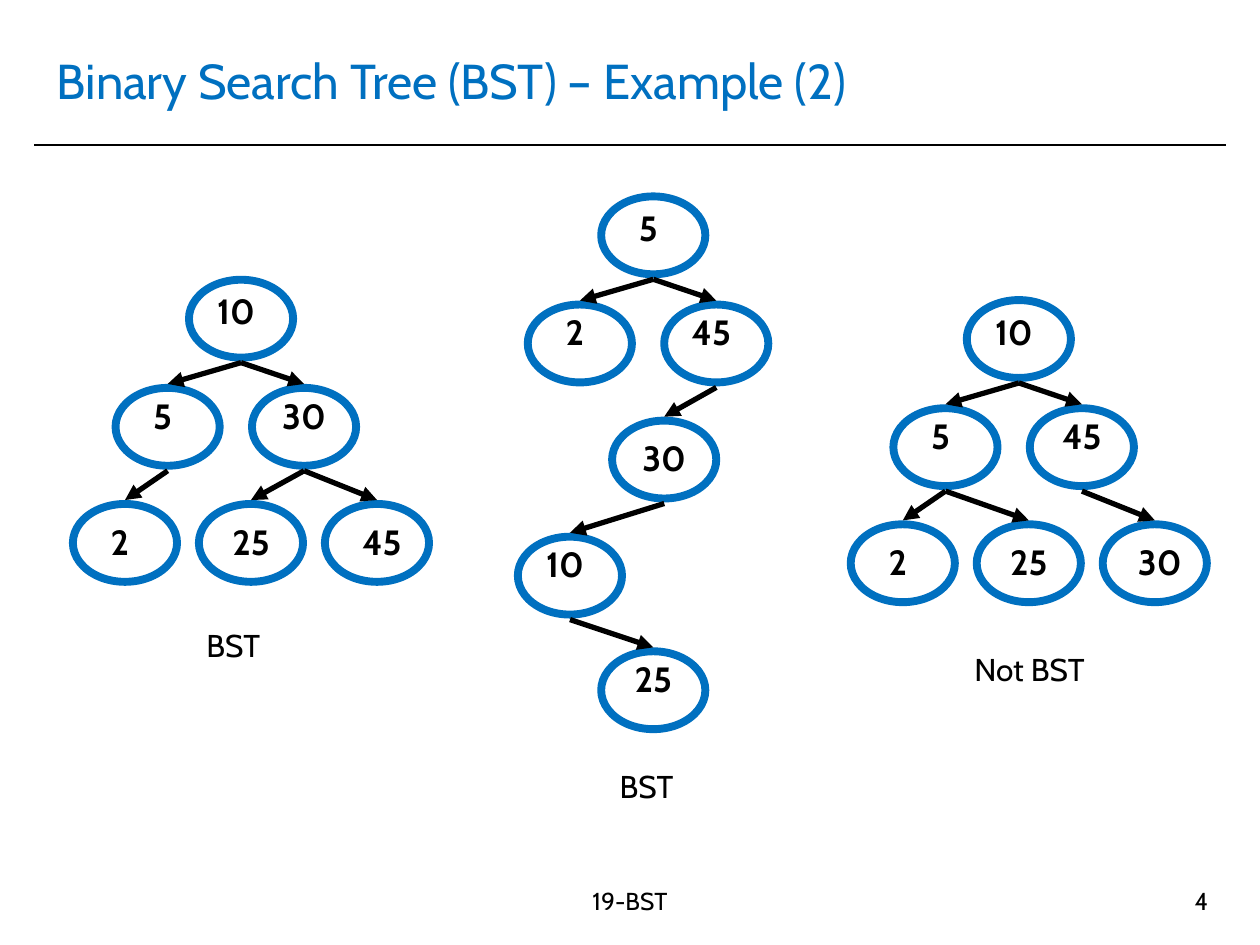
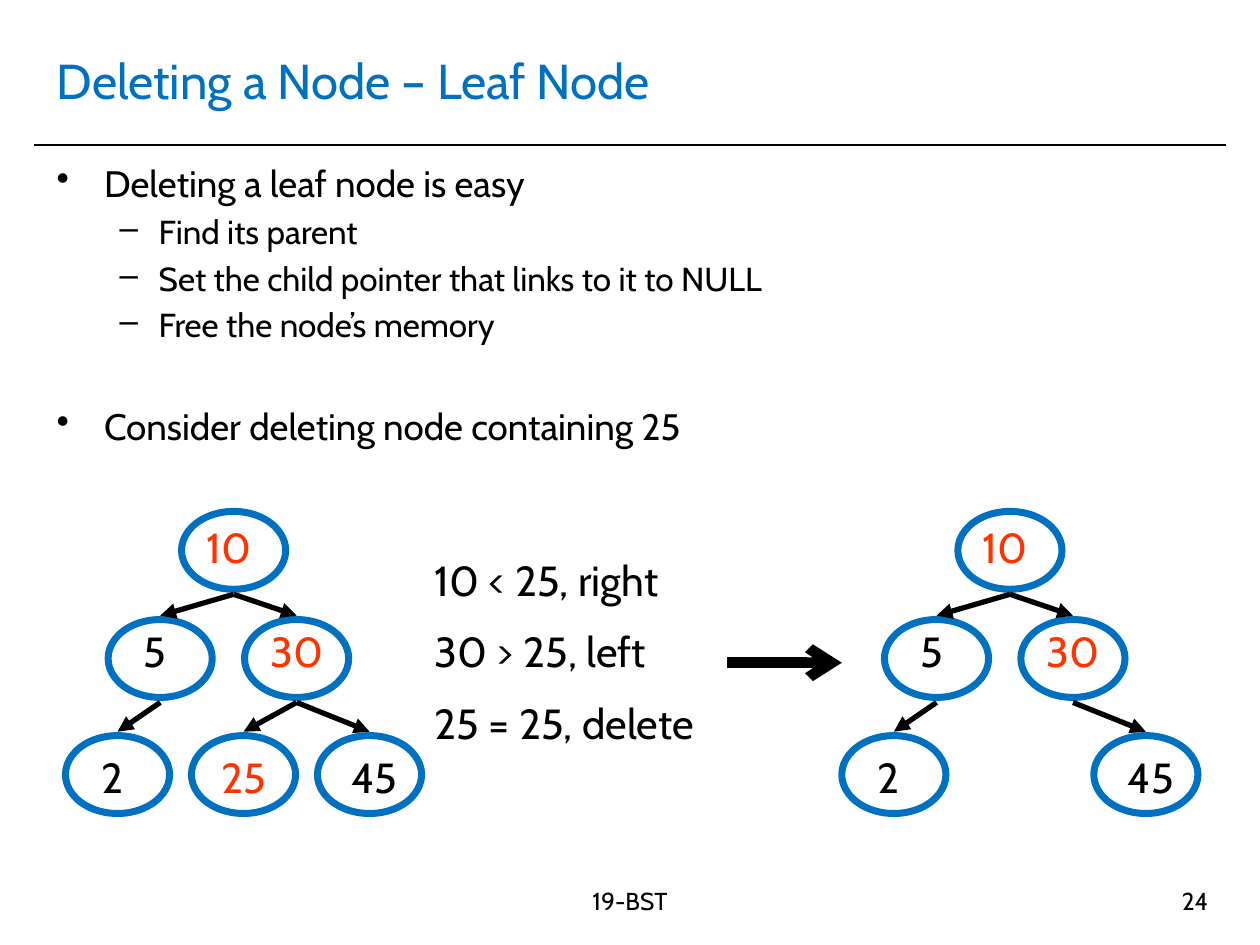
"""Build two slides on binary search trees."""
from lxml import etree
from pptx import Presentation
from pptx.dml.color import RGBColor
from pptx.enum.shapes import MSO_CONNECTOR, MSO_SHAPE
from pptx.enum.text import MSO_ANCHOR, PP_ALIGN
from pptx.oxml.ns import qn
from pptx.util import Cm, Pt

STRAIGHT, OVAL = MSO_CONNECTOR.STRAIGHT, MSO_SHAPE.OVAL
LEFT, CENTER, RIGHT = PP_ALIGN.LEFT, PP_ALIGN.CENTER, PP_ALIGN.RIGHT
MIDDLE = MSO_ANCHOR.MIDDLE
color = RGBColor.from_string
FONT, BLUE, BLACK, RED = "Cabin", "0070C0", "000000", "FF3300"
NODE_WIDTH, NODE_HEIGHT, LABEL_WIDTH = 2.1, 1.57, 1.7


def draw_line(shapes, start, end, width, head=None):
    line = shapes.add_connector(STRAIGHT, *[Cm(value) for value in (*start, *end)])
    line.line.color.rgb = color(BLACK)
    line.line.width = Pt(width)
    properties = line.element.spPr
    if head:
        etree.SubElement(properties.find(qn("a:ln")), qn("a:tailEnd"), type=head)
    etree.SubElement(properties, qn("a:effectLst"))


def write_text(shapes, lines, place, size, ink=BLACK, align=CENTER, bold=False):
    box = shapes.add_textbox(*[Cm(value) for value in place])
    frame = box.text_frame
    frame.word_wrap = True
    frame.text = "\n".join(lines)
    for para in frame.paragraphs:
        para.alignment = align
        para.font.name = FONT
        para.font.size = Pt(size)
        para.font.bold = bold
        para.font.color.rgb = color(ink)
    return frame.paragraphs


deck = Presentation()
deck.slide_width, deck.slide_height = Cm(25.4), Cm(19.05)

pages = []
for heading, number in (("Binary Search Tree (BST) – Example (2)", "4"),
                        ("Deleting a Node – Leaf Node", "24")):
    page = deck.slides.add_slide(deck.slide_layouts[5])
    pages.append(page)
    draw_line(page.shapes, (0.69, 2.92), (24.71, 2.92), 1)
    title = page.shapes.title
    title.left, title.top, title.width, title.height = Cm(0.89), Cm(0.53), Cm(23.6), Cm(2.16)
    title.text_frame.text = heading
    title.text_frame.vertical_anchor = MIDDLE
    para = title.text_frame.paragraphs[0]
    para.alignment = LEFT
    para.font.name = FONT
    para.font.size = Pt(28)
    para.font.color.rgb = color(BLUE)
    write_text(page.shapes, ["19-BST"], (8.5, 17.73, 8.4, 1.32), 14)
    write_text(page.shapes, [number], (18.69, 17.73, 5.92, 1.32), 14, align=RIGHT)
example_page, delete_page = pages

# Each slot: node left, node top, label shift right, label shift down.
BALANCED = [(2.34, 0, -0.1, 0.08), (0.86, 2.18, -0.1, 0), (3.61, 2.18, 0, 0),
            (0, 4.52, -0.1, 0.2), (2.54, 4.52, 0, 0.2), (5.08, 4.52, 0.1, 0.2)]
ZIGZAG = [(1.68, 0, -0.1, 0.08), (0.2, 2.18, -0.1, 0), (2.95, 2.18, -0.1, 0),
          (1.9, 4.52, 0, 0.2), (0, 6.86, -0.1, 0), (1.68, 9.17, 0, 0)]
BST_EDGES = [(0, 1), (0, 2), (1, 3), (2, 4), (2, 5)]
NOT_BST_EDGES = [(0, 1), (0, 2), (1, 3), (1, 4), (2, 5)]
ZIGZAG_EDGES = [(0, 1), (0, 2), (2, 3), (3, 4), (4, 5)]
SMALL = {"outline": 4.5, "size": 20, "bold": True, "visited": ()}
LARGE = {"outline": 4, "size": 24, "bold": False, "visited": ("10", "30", "25")}

trees = [
    (example_page, 1.47, 5.64, BALANCED, BST_EDGES, ["10", "5", "30", "2", "25", "45"], SMALL),
    (example_page, 17.15, 6.05, BALANCED, NOT_BST_EDGES, ["10", "5", "45", "2", "25", "30"], SMALL),
    (example_page, 10.44, 3.96, ZIGZAG, ZIGZAG_EDGES, ["5", "2", "45", "30", "10", "25"], SMALL),
    (delete_page, 1.32, 10.31, BALANCED, BST_EDGES, ["10", "5", "30", "2", "25", "45"], LARGE),
    (delete_page, 16.97, 10.31, BALANCED, BST_EDGES, ["10", "5", "30", "2", None, "45"], LARGE),
]
for page, left, top, slots, edges, values, style in trees:
    shapes = page.shapes.add_group_shape().shapes
    for value, (x, y, shift_x, shift_y) in zip(values, slots):
        if value is None:
            continue
        node = shapes.add_shape(OVAL, Cm(left + x), Cm(top + y), Cm(NODE_WIDTH), Cm(NODE_HEIGHT))
        node.shadow.inherit = False
        node.fill.background()
        node.line.color.rgb = color(BLUE)
        node.line.width = Pt(style["outline"])
        label_left = left + x + (NODE_WIDTH - LABEL_WIDTH) / 2 + shift_x
        write_text(shapes, [value], (label_left, top + y + shift_y, LABEL_WIDTH, 1.2),
                   style["size"], RED if value in style["visited"] else BLACK, bold=style["bold"])
    for parent, child in edges:
        if values[child] is None:
            continue
        middle = left + NODE_WIDTH / 2
        start = middle + slots[parent][0], top + slots[parent][1] + NODE_HEIGHT + 0.1
        end = middle + slots[child][0], top + slots[child][1] - 0.08
        draw_line(shapes, start, end, 3, "triangle")

for caption, left, top in (("Not BST", 18.67, 12.98), ("BST", 10.95, 15.34), ("BST", 2.62, 12.5)):
    write_text(example_page.shapes, [caption], (left, top, 4.17, 1.02), 18)

bullets = [("Deleting a leaf node is easy", 0, 0),
           ("Find its parent", 1, 3.8),
           ("Set the child pointer that links to it to NULL", 1, 3.8),
           ("Free the node’s memory", 1, 3.8),
           ("Consider deleting node containing 25", 0, 33.5)]
levels = [("•", 21, 0.96, -0.96), ("–", 19, 2.06, -0.79)]
paras = write_text(delete_page.shapes, [text for text, _, _ in bullets],
                   (0.89, 3.12, 23.6, 4.39), 21, align=LEFT)
for para, (_, level, gap) in zip(paras, bullets):
    mark, size, margin, indent = levels[level]
    para.level = level
    para.space_before = Pt(gap)
    para.font.size = Pt(size)
    properties = para._p.get_or_add_pPr()
    properties.set("marL", str(Cm(margin)))
    properties.set("indent", str(Cm(indent)))
    bullet = etree.Element(qn("a:buChar"), char=mark)
    properties.find(qn("a:defRPr")).addprevious(bullet)

steps = write_text(delete_page.shapes, ["10 < 25, right", "30 > 25, left", "25 = 25, delete"],
                   (8.51, 11.05, 6.35, 4.37), 24, align=LEFT)
for step in steps[1:]:
    step.space_before = Pt(12)
draw_line(delete_page.shapes, (14.66, 13.36), (16.97, 13.36), 6, "arrow")

deck.save("out.pptx")
